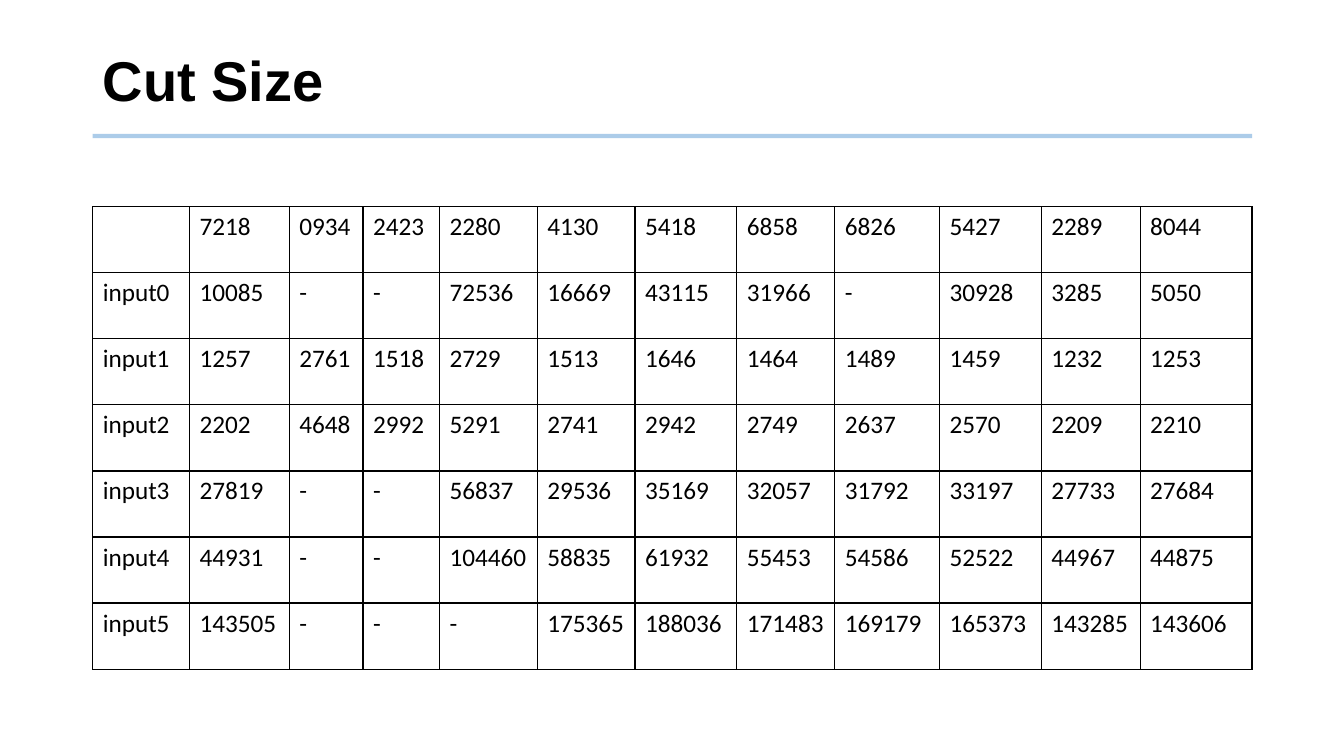
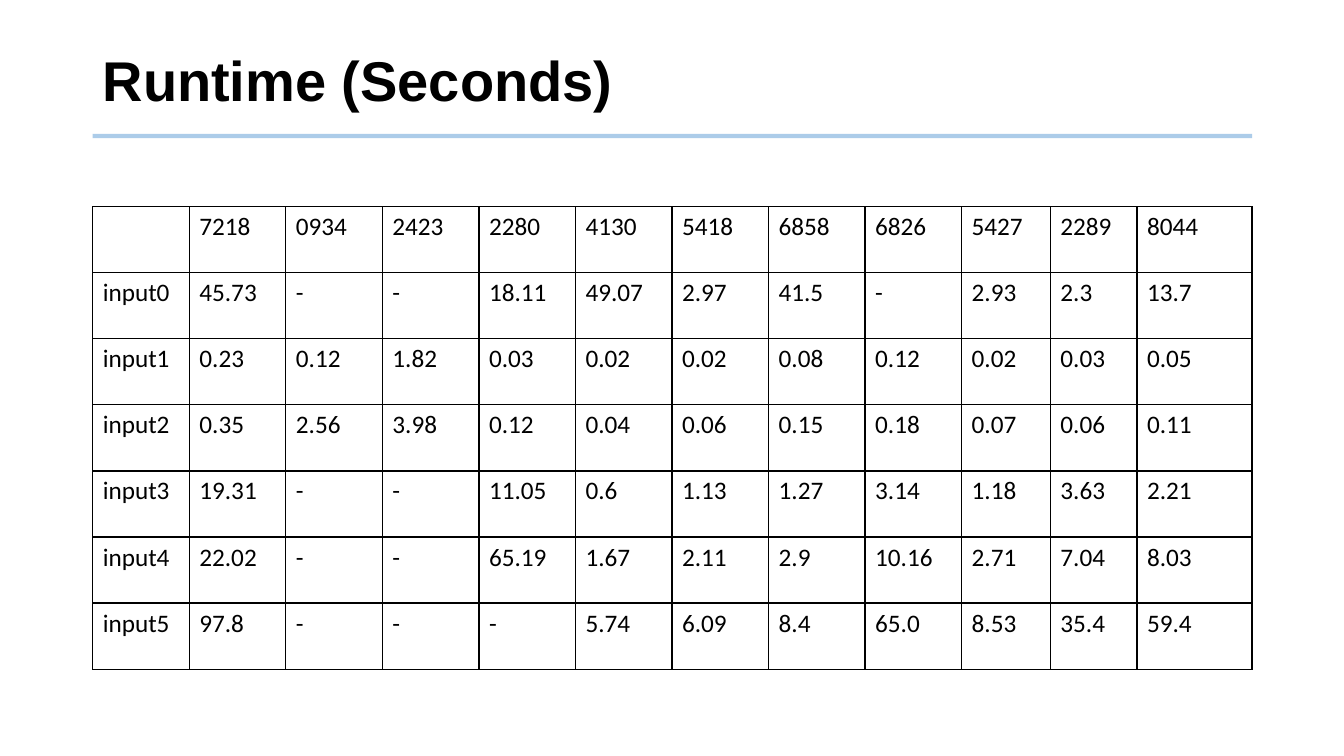
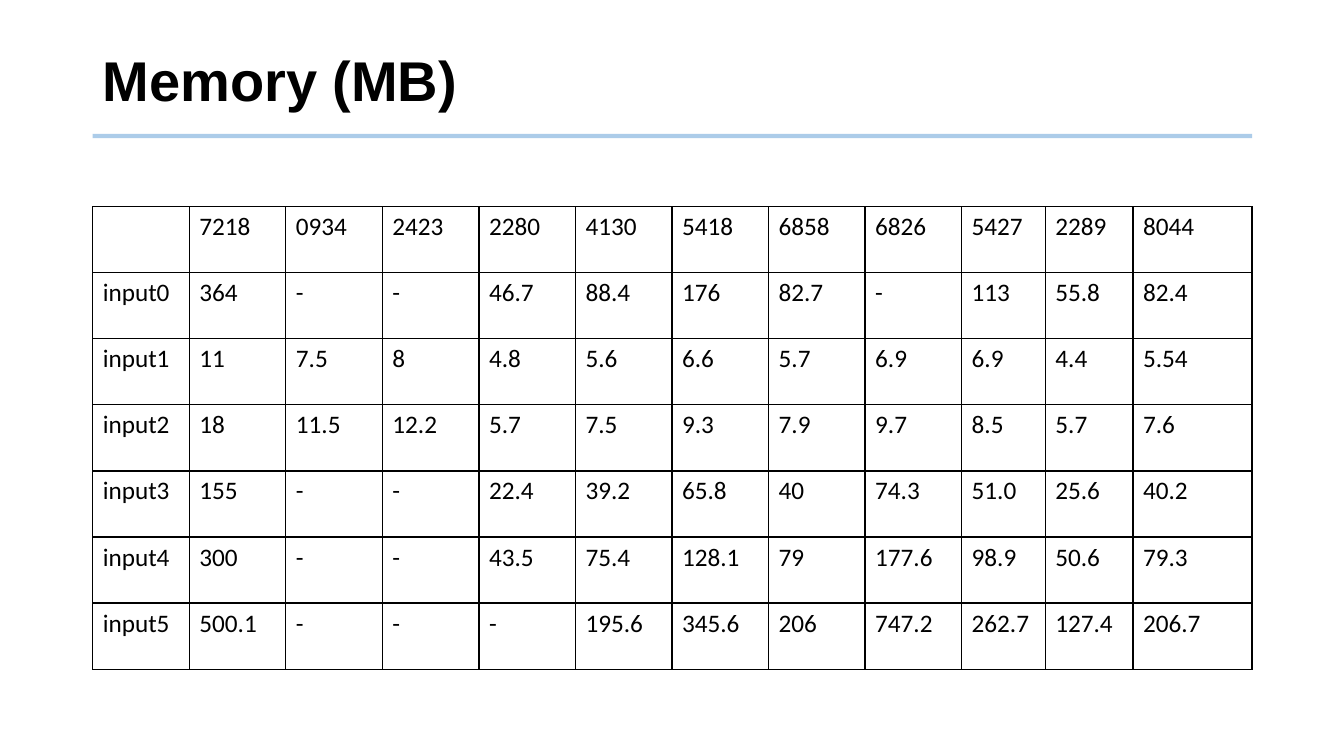
from dataclasses import dataclass

from lxml import etree
from pptx import Presentation
from pptx.dml.color import RGBColor
from pptx.enum import shapes, text
from pptx.oxml import ns
from pptx.util import Inches, Pt


@dataclass(frozen=True)
class Theme:
    ink: str = "000000"
    rule: str = "5B9BD5"
    rule_alpha: int = 50
    title_font: str = "Arial"
    body_font: str = "Calibri"
    title_size: int = 40
    body_size: int = 18
    rule_width: int = 3
    border_width: int = 1


THEME = Theme()
LEFT, WIDTH = 0.92, 11.5
TITLE_TOP, TITLE_HEIGHT, RULE_Y = 0.28, 1.1, 1.35
TABLE_TOP, TABLE_HEIGHT = 2.05, 4.59

PROGRAMS = "7218 0934 2423 2280 4130 5418 6858 6826 5427 2289 8044".split()

CUT_SIZES = """
10085 - - 72536 16669 43115 31966 - 30928 3285 5050
1257 2761 1518 2729 1513 1646 1464 1489 1459 1232 1253
2202 4648 2992 5291 2741 2942 2749 2637 2570 2209 2210
27819 - - 56837 29536 35169 32057 31792 33197 27733 27684
44931 - - 104460 58835 61932 55453 54586 52522 44967 44875
143505 - - - 175365 188036 171483 169179 165373 143285 143606
"""

RUNTIMES = """
45.73 - - 18.11 49.07 2.97 41.5 - 2.93 2.3 13.7
0.23 0.12 1.82 0.03 0.02 0.02 0.08 0.12 0.02 0.03 0.05
0.35 2.56 3.98 0.12 0.04 0.06 0.15 0.18 0.07 0.06 0.11
19.31 - - 11.05 0.6 1.13 1.27 3.14 1.18 3.63 2.21
22.02 - - 65.19 1.67 2.11 2.9 10.16 2.71 7.04 8.03
97.8 - - - 5.74 6.09 8.4 65.0 8.53 35.4 59.4
"""

MEMORY = """
364 - - 46.7 88.4 176 82.7 - 113 55.8 82.4
11 7.5 8 4.8 5.6 6.6 5.7 6.9 6.9 4.4 5.54
18 11.5 12.2 5.7 7.5 9.3 7.9 9.7 8.5 5.7 7.6
155 - - 22.4 39.2 65.8 40 74.3 51.0 25.6 40.2
300 - - 43.5 75.4 128.1 79 177.6 98.9 50.6 79.3
500.1 - - - 195.6 345.6 206 747.2 262.7 127.4 206.7
"""

CUT_SIZE_COLUMNS = [0.96, 0.99, 0.73, 0.76, 0.97, 0.97, 1.01, 0.97, 1.04, 1.01, 0.98, 1.11]


def equal_then(*last):
    count = len(PROGRAMS) + 1 - len(last)
    return [(WIDTH - sum(last)) / count] * count + list(last)


def write(tf, content, font=THEME.body_font, size=THEME.body_size, color=THEME.ink,
          bold=False, spacing=None):
    p = tf.paragraphs[0]
    p.line_spacing = spacing
    r = p.add_run()
    r.text = content
    r.font.name = font
    r.font.size = Pt(size)
    r.font.bold = bold
    r.font.color.rgb = RGBColor.from_string(color)


def add_rule(slide):
    y = Inches(RULE_Y)
    sp = slide.shapes.add_connector(
        shapes.MSO_CONNECTOR.STRAIGHT, Inches(LEFT), y, Inches(LEFT + WIDTH), y)
    sp.line.width = Pt(THEME.rule_width)
    sp.line.color.rgb = RGBColor.from_string(THEME.rule)
    color = sp.line._get_or_add_ln().find(".//" + ns.qn("a:srgbClr"))
    etree.SubElement(color, ns.qn("a:alpha"), val=str(THEME.rule_alpha * 1000))
    etree.SubElement(sp._element.spPr, ns.qn("a:effectLst"))


def add_title(slide, title):
    sp = slide.shapes.add_textbox(
        Inches(LEFT), Inches(TITLE_TOP), Inches(WIDTH), Inches(TITLE_HEIGHT))
    tf = sp.text_frame
    tf.word_wrap = True
    tf.vertical_anchor = text.MSO_ANCHOR.MIDDLE
    write(tf, title, font=THEME.title_font, size=THEME.title_size, bold=True, spacing=0.9)


def add_borders(cell):
    props = cell._tc.get_or_add_tcPr()
    for side in ("lnL", "lnR", "lnT", "lnB"):
        line = etree.SubElement(props, ns.qn("a:" + side), w=str(Pt(THEME.border_width)))
        fill = etree.SubElement(line, ns.qn("a:solidFill"))
        etree.SubElement(fill, ns.qn("a:srgbClr"), val=THEME.ink)


def add_grid(slide, rows, widths):
    table = slide.shapes.add_table(
        len(rows), len(widths), Inches(LEFT), Inches(TABLE_TOP),
        Inches(WIDTH), Inches(TABLE_HEIGHT)).table
    table.first_row = False
    table.horz_banding = False
    for column, width in zip(table.columns, widths):
        column.width = Inches(width)
    for r, row in enumerate(rows):
        table.rows[r].height = Inches(TABLE_HEIGHT / len(rows))
        for c, value in enumerate(row):
            cell = table.cell(r, c)
            add_borders(cell)
            cell.fill.background()
            if value:
                write(cell.text_frame, value)


def add_results_slide(prs, title, results, widths):
    slide = prs.slides.add_slide(prs.slide_layouts[6])
    add_rule(slide)
    add_title(slide, title)
    lines = results.strip().splitlines()
    rows = [["", *PROGRAMS]]
    rows += [[f"input{i}", *line.split()] for i, line in enumerate(lines)]
    add_grid(slide, rows, widths)


def main():
    prs = Presentation()
    prs.slide_width, prs.slide_height = Inches(13.33), Inches(7.5)
    add_results_slide(prs, "Cut Size", CUT_SIZES, CUT_SIZE_COLUMNS)
    add_results_slide(prs, "Runtime (Seconds)", RUNTIMES, equal_then(0.88, 0.86, 1.14))
    add_results_slide(prs, "Memory (MB)", MEMORY, equal_then(0.83, 0.87, 1.18))
    prs.save("out.pptx")


if __name__ == "__main__":
    main()
